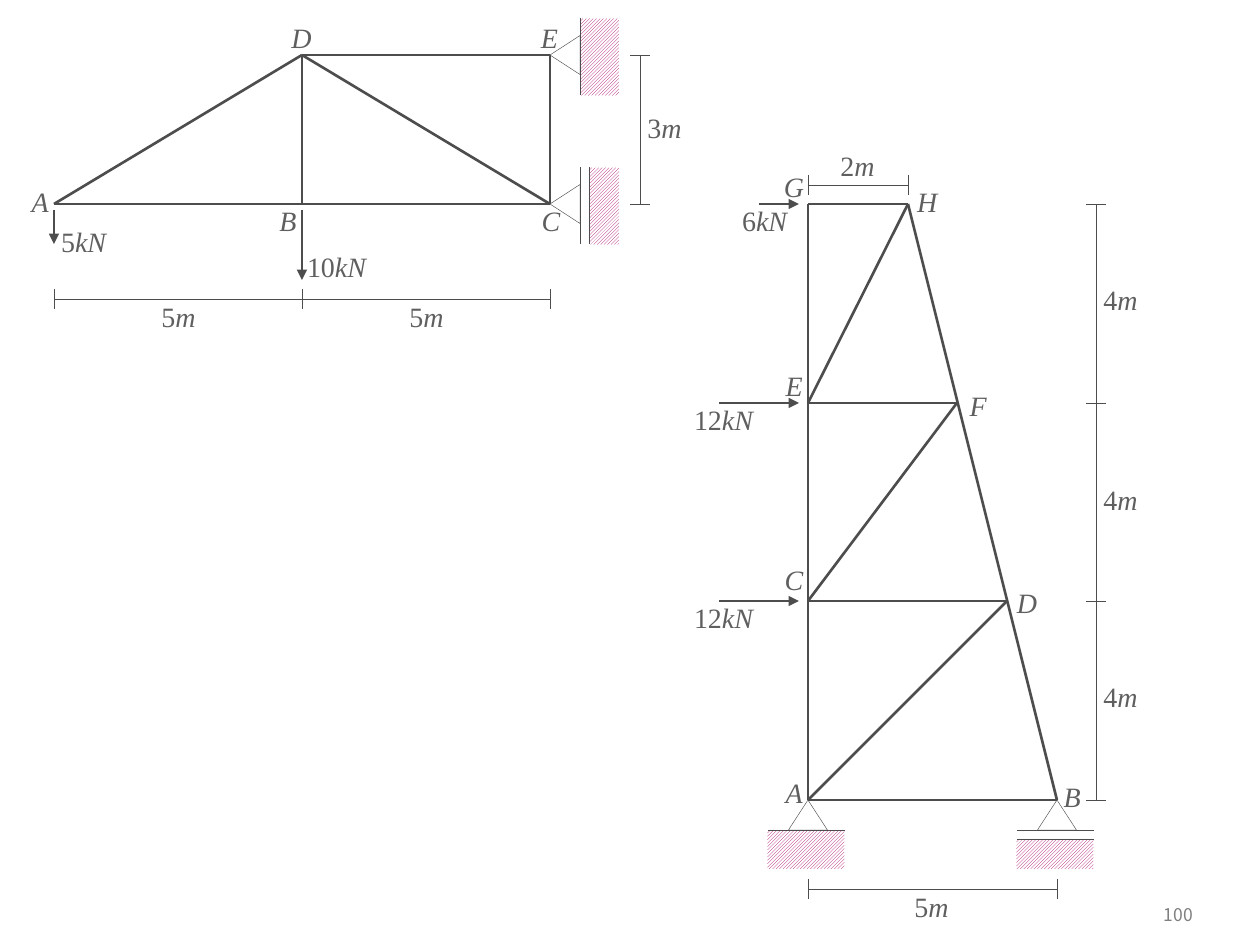
from pptx import Presentation
from pptx.dml.color import RGBColor
from pptx.enum.dml import MSO_PATTERN
from pptx.enum.shapes import MSO_CONNECTOR, MSO_SHAPE
from pptx.enum.text import MSO_ANCHOR, PP_ALIGN
from pptx.oxml.ns import qn
from pptx.util import Emu, Pt
from lxml.etree import SubElement

EMU_PER_PX = 914400 / 126
INK, LABEL, GROUND, PAPER = "4D4D4D", "5F5F5F", "A90165", "FFFFFF"
THIN, THICK = 0.25, 1.5


def px(length):
    """Turn pixels into EMU."""
    return Emu(round(length * EMU_PER_PX))


def colour(code):
    """Turn a hex string into a colour."""
    return RGBColor.from_string(code)


def write(shapes, box, *runs, size=16, font="Times New Roman", ink=LABEL,
          align=PP_ALIGN.CENTER, anchor=MSO_ANCHOR.TOP, inset=0):
    """Write runs of (wording, italic) in a box."""
    frame = shapes.add_textbox(*map(px, box)).text_frame
    frame.word_wrap = True
    frame.vertical_anchor = anchor
    frame.margin_left = frame.margin_right = px(inset)
    frame.margin_top = frame.margin_bottom = 0
    paragraph = frame.paragraphs[0]
    paragraph.alignment = align
    for wording, italic in runs:
        run = paragraph.add_run()
        run.text = wording
        run.font.size = Pt(size)
        run.font.name = font
        run.font.italic = italic
        run.font.color.rgb = colour(ink)
        SubElement(run.font._element, qn("a:ea")).set("typeface", font)


def joint_label(shapes, letter, left, top, width=30):
    """Name a joint."""
    write(shapes, (left, top, width, 34), (letter, True))


def quantity(shapes, number, unit, left, top, width, height=34):
    """Write a number with its unit in italics."""
    write(shapes, (left, top, width, height), (number, False), (unit, True))


def line(shapes, start, end, width=THICK, arrow=False):
    """Draw a straight line, with an arrowhead at its end on request."""
    connector = shapes.add_connector(
        MSO_CONNECTOR.STRAIGHT, *map(px, (*start, *end)))
    connector.line.width = Pt(width)
    connector.line.color.rgb = colour(INK)
    if arrow:
        head = SubElement(connector.line._get_or_add_ln(), qn("a:tailEnd"))
        head.set("type", "triangle")
    SubElement(connector._element.spPr, qn("a:effectLst"))


def members(shapes, joints, pairs):
    """Draw the bars that join pairs of joints."""
    for first, last in pairs.split_pairs() if hasattr(pairs, "split_pairs") else pairs.split():
        line(shapes, joints[first], joints[last])


def dimension(shapes, stops, across, vertical=False):
    """Draw a dimension line with a tick at each stop."""
    def place(along, offset=0):
        point = (along, across + offset)
        return point[::-1] if vertical else point

    line(shapes, place(stops[0]), place(stops[-1]), THIN)
    for stop in stops:
        line(shapes, place(stop, -10), place(stop, 10), THIN)


def support(shapes, joint, rotation=0, roller=False):
    """Draw a pinned or roller support under a joint, turned by 0 or 270."""
    def place(along, depth):
        x, y = joint
        return (x + depth, y - along) if rotation else (x + along, y + depth)

    def solid(kind, along, depth, width, height):
        x, y = place(along, depth + height / 2)
        box = (x - width / 2, y - height / 2, width, height)
        shape = shapes.add_shape(kind, *map(px, box))
        shape.rotation = rotation
        shape.shadow.inherit = False
        return shape

    ground_depth = 39 if roller else 30
    ground = solid(MSO_SHAPE.RECTANGLE, -2, ground_depth, 77, 69 - ground_depth)
    ground.fill.patterned()
    ground.fill.pattern = MSO_PATTERN.LIGHT_UPWARD_DIAGONAL
    ground.fill.fore_color.rgb = colour(GROUND)
    ground.fill.back_color.rgb = colour(PAPER)
    ground.line.fill.background()
    for depth in sorted({30, ground_depth}):
        line(shapes, place(-40, depth), place(37, depth), THIN)
    pin = solid(MSO_SHAPE.ISOSCELES_TRIANGLE, 0, 0, 39, 30)
    pin.fill.background()
    pin.line.width = Pt(THIN)
    pin.line.color.rgb = colour(INK)


def cantilever(shapes):
    """Draw the truss held by the wall."""
    left, middle, right, top, bottom = 54, 302, 550, 55, 204
    joints = {"A": (left, bottom), "B": (middle, bottom), "C": (right, bottom),
              "D": (middle, top), "E": (right, top)}
    support(shapes, joints["C"], 270, roller=True)
    support(shapes, joints["E"], 270)
    members(shapes, joints, "AD AC BD CD CE DE")
    for x, tip in ((left, 244), (middle, 280)):
        line(shapes, (x, 210), (x, tip), arrow=True)
    dimension(shapes, (left, middle, right), 299)
    dimension(shapes, (top, bottom), 640, vertical=True)
    for label in (("A", 25, 185), ("B", 273, 204), ("C", 541, 204, 20),
                  ("D", 282, 21, 39), ("E", 530, 21, 39)):
        joint_label(shapes, *label)
    quantity(shapes, "5", "kN", left, 224, 59)
    quantity(shapes, "10", "kN", middle, 249, 69)
    for x in (left, middle):
        quantity(shapes, "5", "m", x + 100, 300, 49)
    quantity(shapes, "3", "m", 640, 111, 49)


def tower(shapes):
    """Draw the tower truss with its side loads."""
    left, right, crown = 808, 1057, 908
    levels = top, upper, lower, base = 204, 403, 601, 800
    joints = {"A": (left, base), "B": (right, base),
              "C": (left, lower), "D": (1007, lower),
              "E": (left, upper), "F": (957, upper),
              "G": (left, top), "H": (crown, top)}
    support(shapes, joints["B"], roller=True)
    support(shapes, joints["A"])
    members(shapes, joints, "AB AG BH CD EF GH EH CF AD")
    for level, start, force, label_left in (
            (top, 759, "6", 730), (upper, 719, "12", 689), (lower, 719, "12", 689)):
        line(shapes, (start, level), (799, level), arrow=True)
        quantity(shapes, force, "kN", label_left, level, 69, 30)
    dimension(shapes, levels, 1096, vertical=True)
    dimension(shapes, (left, right), 889)
    dimension(shapes, (left, crown), 185)
    for level in levels[:-1]:
        quantity(shapes, "4", "m", 1096, level + 79, 49, 30)
    quantity(shapes, "5", "m", 907, 890, 49)
    quantity(shapes, "2", "m", 838, 149, 39)
    for label in (("A", 779, 776), ("B", 1057, 780), ("C", 779, 563),
                  ("D", 1017, 586, 20), ("E", 779, 369), ("F", 968, 389, 20),
                  ("G", 779, 170), ("H", 917, 185, 20)):
        joint_label(shapes, *label)


def main():
    """Build the slide and save it."""
    deck = Presentation()
    deck.slide_width, deck.slide_height = px(1260), px(945)
    slide = deck.slides.add_slide(deck.slide_layouts[6])
    write(slide.shapes, (1116, 893, 89, 42), ("100", False), size=10,
          font="Noto Sans CJK KR", ink="808080", align=PP_ALIGN.RIGHT,
          anchor=MSO_ANCHOR.MIDDLE, inset=12)
    for truss in (cantilever, tower):
        truss(slide.shapes.add_group_shape().shapes)
    deck.save("out.pptx")


if __name__ == "__main__":
    main()
